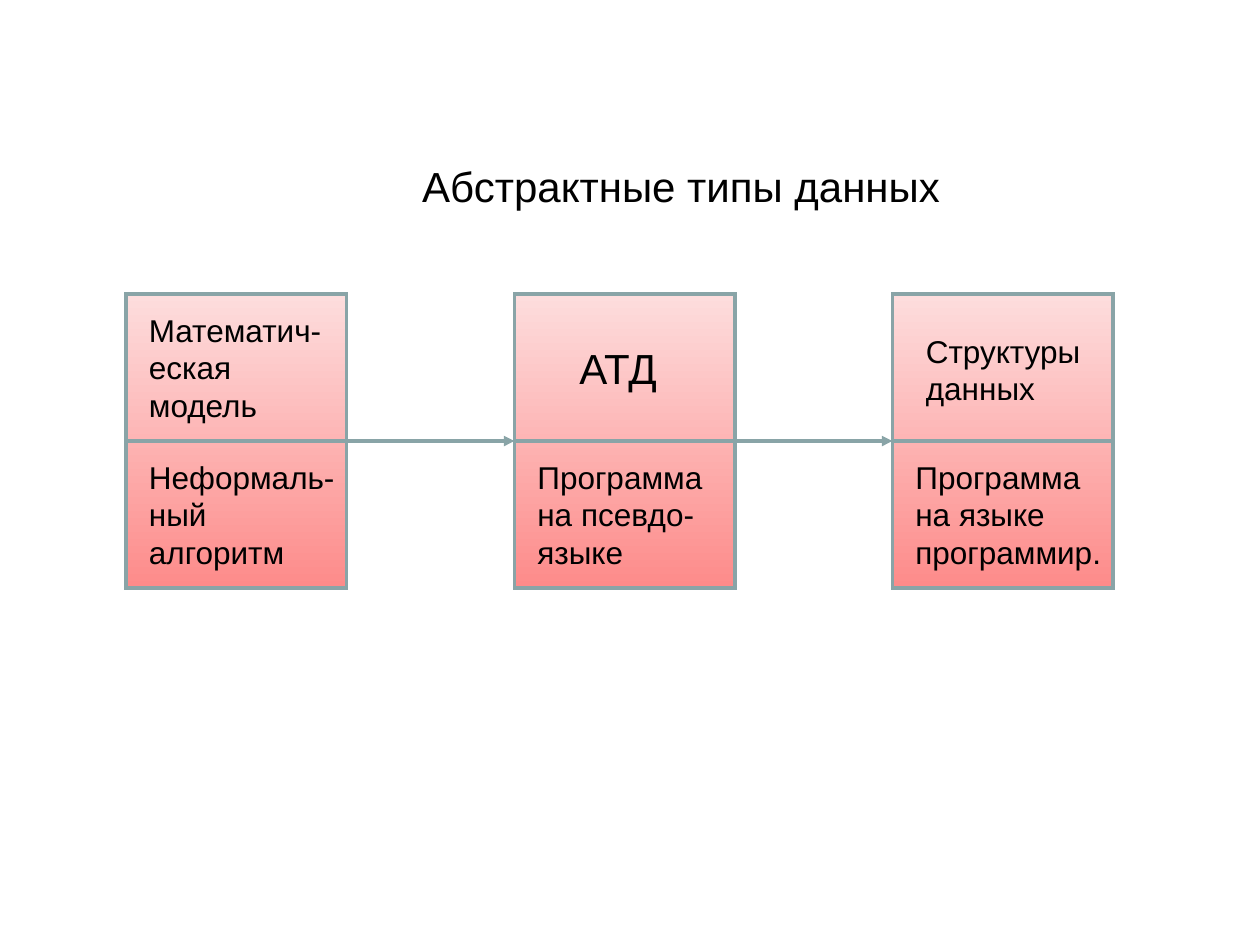
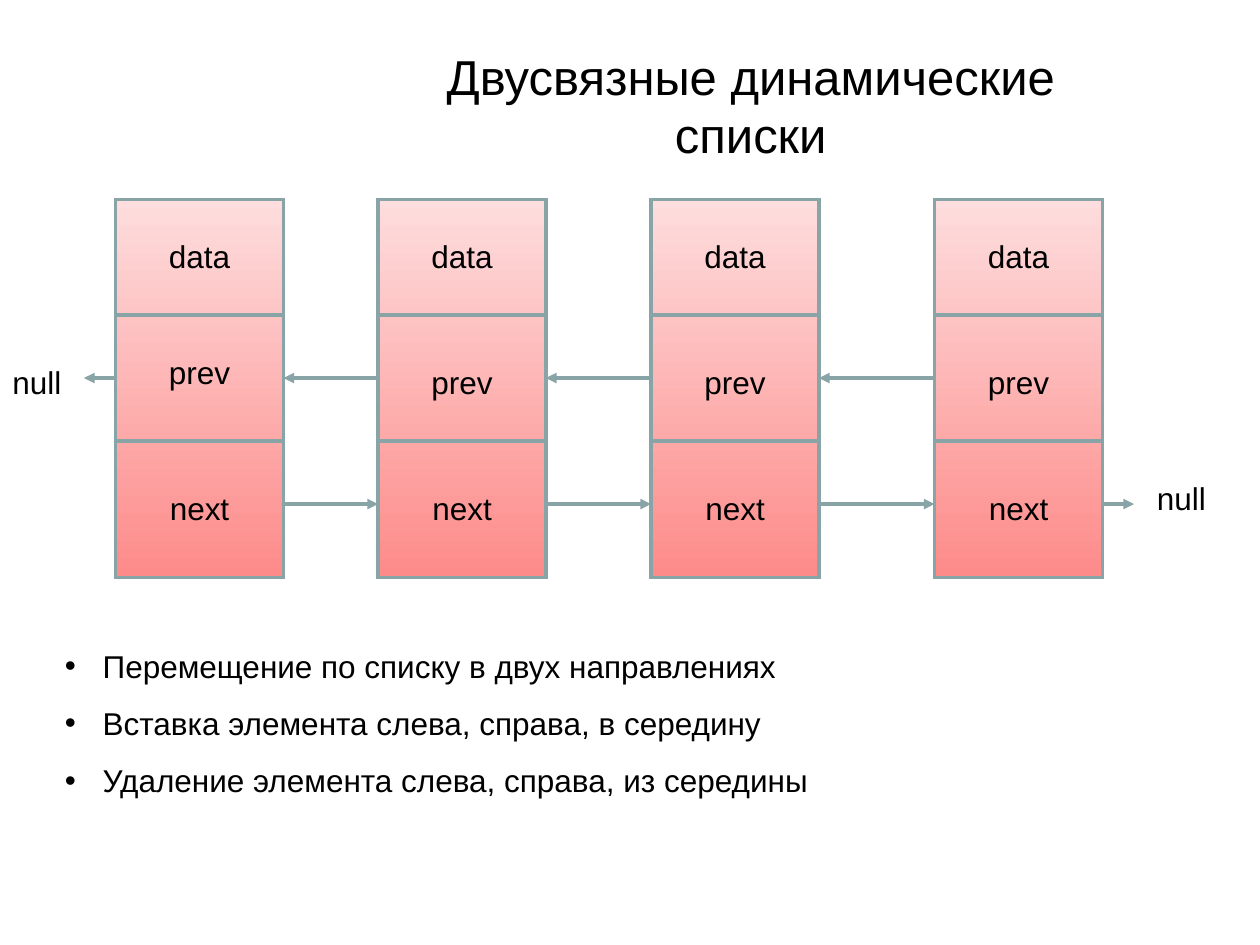
from itertools import pairwise

from lxml import etree
from pptx import Presentation
from pptx import util as u
from pptx.dml import color
from pptx.enum import shapes, text
from pptx.oxml import ns

COLORS = {"ink": "000000", "edge": "89A4A7", "light": "FDDDDD", "deep": "FD8B8A"}
FONT = "Arial"
COLUMNS, ROWS = 120, 90
UNIT = u.Inches(10) // COLUMNS
EDGE_WIDTH = u.Pt(2)
LEFT, RIGHT = 1, 3


def rgb(name):
    return color.RGBColor.from_string(COLORS[name])


def grid(*counts):
    """Turn counts of columns or rows into lengths."""
    return [u.Emu(round(count * UNIT)) for count in counts]


def add_bullet(para, indent):
    props = para._p.get_or_add_pPr()
    props.set("marL", str(indent))
    props.set("indent", str(-indent))
    etree.SubElement(props, ns.qn("a:buFont"), typeface=FONT)
    etree.SubElement(props, ns.qn("a:buChar"), char="•")


def add_text(page, place, words, *, size=18, align=text.PP_ALIGN.LEFT,
             anchor=text.MSO_ANCHOR.TOP, fit=True, before=0, bullet=None,
             top_inset=0.05, right_inset=0.1):
    """Add a text box; each line of words is a paragraph, and a vertical tab breaks a line."""
    box = page.shapes.add_textbox(*grid(*place))
    frame = box.text_frame
    frame.text = words
    frame.word_wrap = True
    frame.vertical_anchor = anchor
    frame.margin_top = u.Inches(top_inset)
    frame.margin_right = u.Inches(right_inset)
    if fit:
        frame.auto_size = text.MSO_AUTO_SIZE.SHAPE_TO_FIT_TEXT
    for para in frame.paragraphs:
        para.alignment = align
        para.space_before = u.Pt(before)
        if bullet:
            add_bullet(para, bullet)
        for span in para.runs:
            span.font.name = FONT
            span.font.size = u.Pt(size)
            span.font.color.rgb = rgb("ink")


def add_title(page, place, words, size, **options):
    add_text(page, place, words, size=size, align=text.PP_ALIGN.CENTER,
             anchor=text.MSO_ANCHOR.MIDDLE, fit=False, **options)


def style_edge(line):
    """Give an outline or connector the shared colour, width and sharp corners."""
    line.color.rgb = rgb("edge")
    line.width = EDGE_WIDTH
    etree.SubElement(line._get_or_add_ln(), ns.qn("a:miter"), lim="800000")


def add_block(page, place):
    """Add a rectangle shaded from light at the top to deep at the bottom."""
    block = page.shapes.add_shape(shapes.MSO_SHAPE.RECTANGLE, *grid(*place))
    block.shadow.inherit = False
    block.fill.gradient()
    block.fill.gradient_angle = 270
    for stop, name, position in zip(block.fill.gradient_stops, ("light", "deep"), (0, 1)):
        stop.color.rgb = rgb(name)
        stop.position = position
    style_edge(block.line)
    return block


def add_line(page, start=(0, 0), end=(0, 0), arrow=False, joins=None):
    """Draw a line between grid points, or between (block, side) joins."""
    connector = page.shapes.add_connector(shapes.MSO_CONNECTOR.STRAIGHT, *grid(*start, *end))
    if joins:
        connector.begin_connect(*joins[0])
        connector.end_connect(*joins[1])
    style_edge(connector.line)
    if arrow:
        etree.SubElement(connector.line._get_or_add_ln(), ns.qn("a:tailEnd"), type="triangle")
    etree.SubElement(connector._element.spPr, ns.qn("a:effectLst"))


def add_stages(page, top, stages):
    """Draw two-part blocks joined by arrows, each with its texts at offsets inside it."""
    width, height = 21, 28
    blocks = [add_block(page, (left, top, width, height)) for left, _ in stages]
    for block in blocks:
        add_line(page, joins=((block, LEFT), (block, RIGHT)))
    for left, labels in stages:
        for (across, down, wide, high), words, size in labels:
            add_text(page, (left + across, top + down, wide, high), words,
                     size=size, right_inset=0)
    for block, following in pairwise(blocks):
        add_line(page, joins=((block, RIGHT), (following, LEFT)), arrow=True)


def add_linked_list(page, top, lefts):
    """Draw list nodes with fields, pointers both ways and a null at each end."""
    width, height = 16, 36
    dividers = (11, 23)
    fields = {"data": 3, "prev": 15, "next": 27}
    prev_row, next_row = top + 17, top + 29
    null_width, label_height = 8, 4.8
    for left in lefts:
        add_block(page, (left, top, width, height))
        for down in dividers:
            add_line(page, (left, top + down), (left + width, top + down))
        for field, down in fields.items():
            raised = field == "prev" and left == lefts[0]
            add_text(page, (left, top + down - raised, width, label_height), field,
                     align=text.PP_ALIGN.CENTER, before=11.2)

    rights = [left + width for left in lefts]
    first_null, last_null = lefts[0] - 3, rights[-1] + 3
    for start, end in zip(lefts, [first_null] + rights):
        add_line(page, (start, prev_row), (end, prev_row), arrow=True)
    for start, end in zip(rights, lefts[1:] + [last_null]):
        add_line(page, (start, next_row), (end, next_row), arrow=True)
    for left, row in ((first_null - null_width, prev_row - 2), (last_null + 1, next_row - 3)):
        add_text(page, (left, row, null_width, label_height), "null", before=11.2)


def build_data_types(page):
    add_title(page, (9.75, 4, 110.25, 22.75), "Абстрактные типы данных", 24, top_inset=0.43)
    add_stages(page, 28, [
        (12, [((1, 1, 19, 12), "Математич-\nеская\nмодель", 18),
              ((1, 15, 20, 12), "Неформаль-\nный\nалгоритм", 18)]),
        (49, [((5, 4, 10.2, 6), "АТД", 24),
              ((1, 15, 18.1, 12), "Программа\nна псевдо-\nязыке", 18)]),
        (85, [((2, 3, 17, 8.4), "Структуры\nданных", 18),
              ((1, 15, 20, 12), "Программа\nна языке\nпрограммир.", 18)]),
    ])


def build_linked_lists(page):
    add_title(page, (23, 4, 97, 12), "Двусвязные динамические\vсписки", 28)
    add_linked_list(page, 19, [11, 36, 62, 89])
    add_text(page, (5, 61, 107, 15.8),
             "Перемещение по списку в двух направлениях\n"
             "Вставка элемента слева, справа, в середину\n"
             "Удаление элемента слева, справа, из середины",
             before=11.2, bullet=u.Inches(0.3))


def main():
    deck = Presentation()
    deck.slide_width, deck.slide_height = grid(COLUMNS, ROWS)
    blank = deck.slide_layouts[6]
    for build in (build_data_types, build_linked_lists):
        build(deck.slides.add_slide(blank))
    deck.save("out.pptx")


if __name__ == "__main__":
    main()
